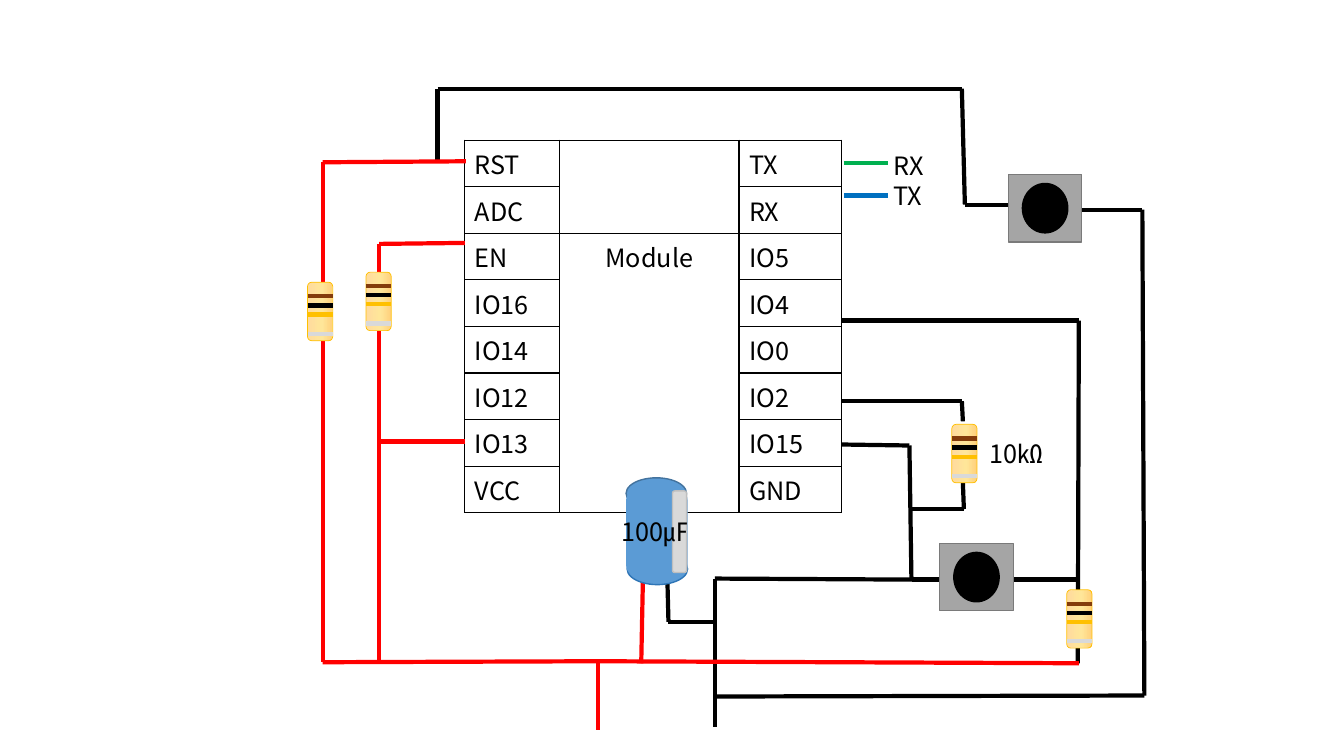
from copy import deepcopy
from itertools import pairwise

from lxml import etree
from pptx import Presentation
from pptx.dml import color
from pptx.enum import shapes, text
from pptx.oxml import ns
from pptx.util import Inches, Pt

FONT = "Noto Sans CJK KR"
BLACK, RED = "000000", "FF0000"
LEFT_PINS = ["RST", "ADC", "EN", "IO16", "IO14", "IO12", "IO13", "VCC"]
RIGHT_PINS = ["TX", "RX", "IO5", "IO4", "IO0", "IO2", "IO15", "GND"]
RECT = shapes.MSO_SHAPE.RECTANGLE
OVAL = shapes.MSO_SHAPE.OVAL
ROUND = shapes.MSO_SHAPE.ROUNDED_RECTANGLE

WIRES = [
    (BLACK, [(4.34, 1.6), (4.34, 0.88), (9.54, 0.88), (9.57, 2.03), (10, 2.03)]),
    (BLACK, [(10.73, 2.08), (11.33, 2.08), (11.35, 6.9), (7.09, 6.91)]),
    (BLACK, [(8.35, 3.18), (10.7, 3.18), (10.69, 6.58)]),
    (BLACK, [(8.35, 3.98), (9.54, 3.98), (9.55, 4.18)]),
    (BLACK, [(9.55, 4.79), (9.56, 5.05), (9.05, 5.05)]),
    (BLACK, [(8.35, 4.41), (9.02, 4.42), (9.04, 5.75)]),
    (BLACK, [(10.68, 5.75), (9.05, 5.75), (7.09, 5.74), (7.09, 7.21)]),
    (BLACK, [(6.62, 5.77), (6.63, 6.17), (7.09, 6.17)]),
    (RED, [(4.62, 1.6), (3.2, 1.61), (3.2, 6.57), (5.93, 6.56), (10.7, 6.58)]),
    (RED, [(4.61, 2.41), (3.76, 2.42), (3.76, 6.56)]),
    (RED, [(3.76, 4.38), (4.61, 4.38)]),
    (RED, [(5.93, 6.55), (5.93, 7.24)]),
    (RED, [(6.38, 5.57), (6.36, 6.58)]),
    ("00B050", [(8.37, 1.62), (8.81, 1.62)]),
    ("0070C0", [(8.37, 1.94), (8.81, 1.94)]),
]


def rgb(value):
    return color.RGBColor.from_string(value)


def write(tf, lines, align=text.PP_ALIGN.LEFT):
    tf.text = "\n".join(lines)
    for p in tf.paragraphs:
        p.alignment = align
        p.font.name = FONT
        p.font.size = Pt(18)
        p.font.color.rgb = rgb(BLACK)
        etree.SubElement(p.font._element, ns.qn("a:ea"), typeface=FONT)


def add_wire(parent, points, line_color):
    for start, end in pairwise(points):
        x1, y1, x2, y2 = map(Inches, (*start, *end))
        c = parent.add_connector(shapes.MSO_CONNECTOR.STRAIGHT, x1, y1, x2, y2)
        c.line.color.rgb = rgb(line_color)
        c.line.width = Pt(3)
        etree.SubElement(c._element.spPr, ns.qn("a:effectLst"))


def add_block(parent, kind, box, fill, line=None, width=1):
    sp = parent.add_shape(kind, *map(Inches, box))
    sp.shadow.inherit = False
    sp.fill.solid()
    sp.fill.fore_color.rgb = rgb(fill)
    if line:
        sp.line.color.rgb = rgb(line)
        sp.line.width = Pt(width)
    else:
        sp.line.fill.background()
    return sp


def add_resistor(s, x, y):
    parts = s.shapes.add_group_shape().shapes
    sp = add_block(parts, ROUND, (x, y, 0.25, 0.58), "FFE699", "FFC000", 0.5)
    sp.fill.gradient()
    sp.fill.gradient_angle = 0
    stops = sp._element.spPr.find(".//" + ns.qn("a:gsLst"))
    stops.append(deepcopy(stops[-1]))
    levels = [(0, "FFDB9E"), (0.58, "FFE699"), (1, "FFD07C")]
    for stop, (position, tint) in zip(sp.fill.gradient_stops, levels):
        stop.position = position
        stop.color.rgb = rgb(tint)
    bands = [(0.14, "843C0B"), (0.23, BLACK), (0.32, "FFC000"), (0.51, "D9D9D9")]
    for dy, tint in bands:
        add_wire(parts, [(x, y + dy), (x + 0.25, y + dy)], tint)


def add_button(s, x, y):
    parts = s.shapes.add_group_shape().shapes
    add_block(parts, RECT, (x, y, 0.73, 0.67), "A5A5A5", "7A7A7A")
    add_block(parts, OVAL, (x + 0.14, y + 0.09, 0.45, 0.49), BLACK, BLACK)


def add_capacitor(s):
    parts = s.shapes.add_group_shape().shapes
    add_block(parts, OVAL, (6.22, 5.49, 0.6, 0.31), "5B9BD5", "2E75B6")
    add_block(parts, OVAL, (6.21, 4.74, 0.6, 0.31), "5B9BD5", "43739E")
    add_block(parts, ROUND, (6.21, 4.86, 0.61, 0.85), "5B9BD5")
    add_block(parts, ROUND, (6.67, 4.87, 0.14, 0.81), "D9D9D9", "BFBFBF")


def add_label(s, box, lines):
    tf = s.shapes.add_textbox(*map(Inches, box)).text_frame
    tf.word_wrap = False
    tf.auto_size = text.MSO_AUTO_SIZE.SHAPE_TO_FIT_TEXT
    write(tf, lines)


def style_cell(cell):
    cell.fill.background()
    tcPr = cell._tc.get_or_add_tcPr()
    for i, side in enumerate(("lnL", "lnR", "lnT", "lnB")):
        ln = etree.Element(ns.qn("a:" + side), w=str(Pt(1)))
        fill = etree.SubElement(ln, ns.qn("a:solidFill"))
        etree.SubElement(fill, ns.qn("a:srgbClr"), val=BLACK)
        tcPr.insert(i, ln)


def add_chip(s):
    frame = s.shapes.add_table(8, 3, *map(Inches, (4.61, 1.39, 3.75, 2.96)))
    frame.height = Inches(3.2)
    table = frame.table
    table.first_row = table.horz_banding = False
    for column, width in zip(table.columns, (0.94, 1.78, 1.02)):
        column.width = Inches(width)
    for cell in table.iter_cells():
        style_cell(cell)
    table.cell(0, 1).merge(table.cell(1, 1))
    table.cell(2, 1).merge(table.cell(7, 1))
    for row, (left, right) in enumerate(zip(LEFT_PINS, RIGHT_PINS)):
        write(table.cell(row, 0).text_frame, [left])
        write(table.cell(row, 2).text_frame, [right])
    write(table.cell(2, 1).text_frame, ["Module"], text.PP_ALIGN.CENTER)


def main():
    prs = Presentation()
    prs.slide_width, prs.slide_height = Inches(13.33), Inches(7.5)
    s = prs.slides.add_slide(prs.slide_layouts[6])
    add_chip(s)
    for line_color, points in WIRES:
        add_wire(s.shapes, points, line_color)
    for x, y in [(9.32, 5.39), (10, 1.73)]:
        add_button(s, x, y)
    for x, y in [(9.44, 4.21), (3.63, 2.7), (3.05, 2.8), (10.58, 5.85)]:
        add_resistor(s, x, y)
    add_capacitor(s)
    add_label(s, (8.76, 1.44, 0.58, 0.71), ["RX", "TX"])
    add_label(s, (6.07, 5.07, 0.87, 0.4), ["100㎌"])
    add_label(s, (9.72, 4.3, 0.73, 0.4), ["10㏀"])
    prs.save("out.pptx")


main()
